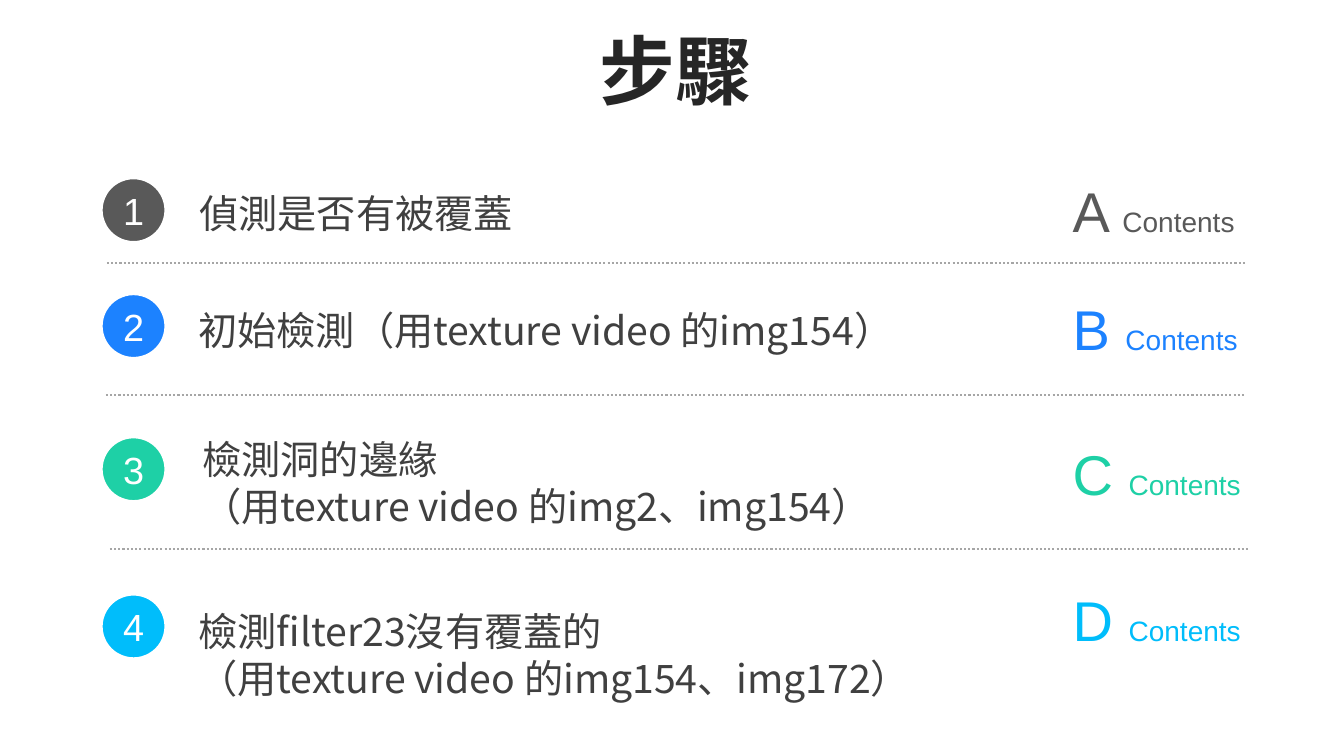
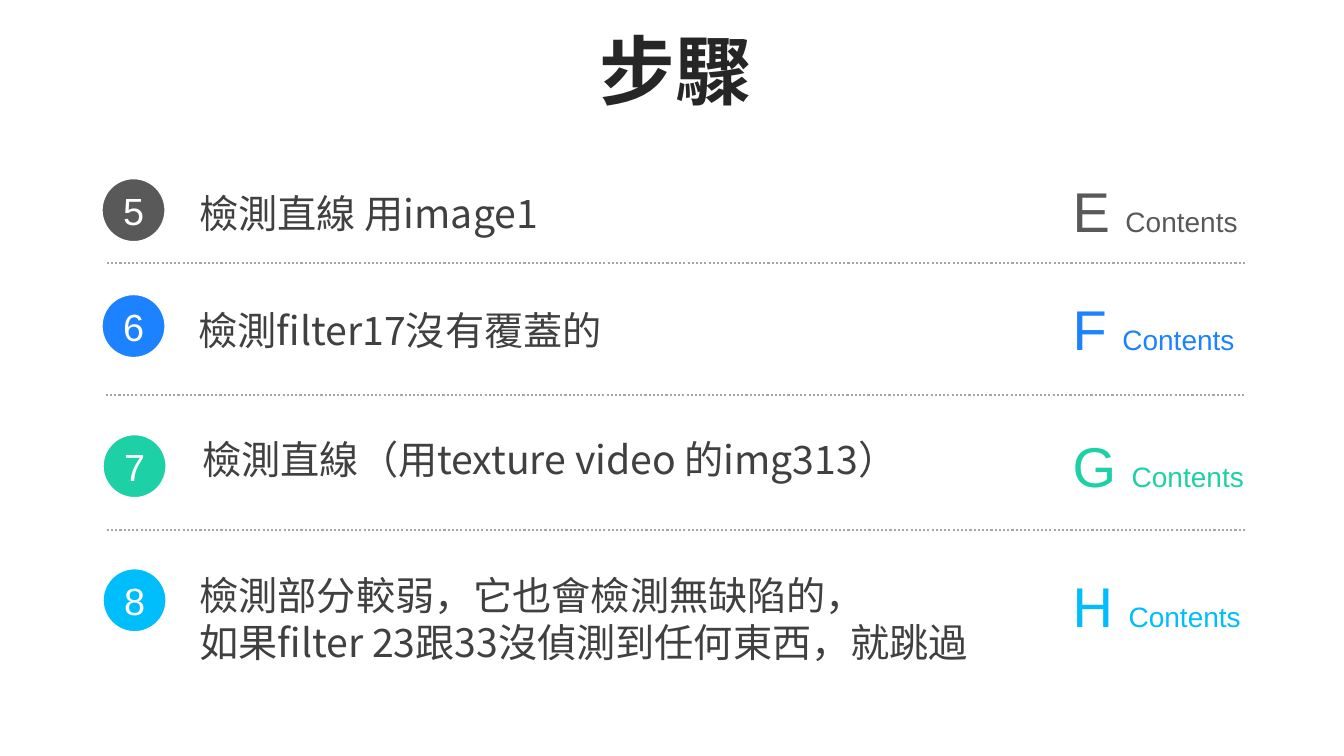
"""Build two slides listing the eight detection steps."""
from dataclasses import dataclass
from typing import Optional

from lxml.etree import SubElement
from pptx import Presentation
from pptx.dml.color import RGBColor
from pptx.enum.dml import MSO_LINE
from pptx.enum.shapes import MSO_CONNECTOR as CONNECTOR, MSO_SHAPE as SHAPE
from pptx.enum.text import MSO_ANCHOR as ANCHOR, PP_ALIGN as ALIGN
from pptx.oxml.ns import qn
from pptx.util import Inches, Pt

CJK, LATIN = "Noto Sans CJK SC", "Arial"
TITLE, BODY, RULE, WHITE = "262626", "404040", "A6A6A6", "FFFFFF"
ACCENTS = ["595959", "1C82FF", "1ED0A6", "00BDFB"]
MARK_SIZE, RULE_WIDTH = 0.63, 11.3
TEXT_WIDTH, TAG_LEFT, TAG_WIDTH, TAG_HEIGHT = 8.2, 10.54, 1.9, 0.77


@dataclass
class Rule:
    x: float
    y: float


@dataclass
class Step:
    lines: list[str]
    mark_x: float
    mark_y: float
    text_x: float
    text_y: float
    tag_y: float
    rule: Optional[Rule] = None


SLIDES = [
    [
        Step(["偵測是否有被覆蓋"], 1.01, 1.77, 1.88, 1.83, 1.7, Rule(1.06, 2.61)),
        Step(["初始檢測（用texture video 的img154）"],
             1.01, 2.92, 1.87, 2.99, 2.87, Rule(1.05, 3.92)),
        Step(["檢測洞的邊緣", "（用texture video 的img2、img154）"],
             1.01, 4.34, 1.91, 4.27, 4.31, Rule(1.09, 5.45)),
        Step(["檢測filter23沒有覆蓋的", "（用texture video 的img154、img172）"],
             1.01, 5.9, 1.87, 5.98, 5.76),
    ],
    [
        Step(["檢測直線 用image1"], 1.01, 1.77, 1.88, 1.83, 1.7, Rule(1.06, 2.61)),
        Step(["檢測filter17沒有覆蓋的"],
             1.01, 2.92, 1.87, 2.99, 2.87, Rule(1.05, 3.92)),
        Step(["檢測直線（用texture video 的img313）"],
             1.02, 4.31, 1.91, 4.27, 4.23, Rule(1.06, 5.26)),
        Step(["檢測部分較弱，它也會檢測無缺陷的，",
              "如果filter 23跟33沒偵測到任何東西，就跳過"],
             1.02, 5.64, 1.88, 5.62, 5.62),
    ],
]


def rgb(value: str) -> RGBColor:
    return RGBColor.from_string(value)


def add_run(p, text: str, size: float, font: str, color: str, bold: bool = False) -> None:
    r = p.add_run()
    r.text = text
    r.font.size, r.font.name, r.font.bold = Pt(size), font, bold
    r.font.color.rgb = rgb(color)
    SubElement(r.font._element, qn("a:ea"), typeface=font)


def add_box(s, x: float, y: float, w: float, h: float):
    tf = s.shapes.add_textbox(Inches(x), Inches(y), Inches(w), Inches(h)).text_frame
    tf.word_wrap = True
    return tf


def add_title(s, text: str) -> None:
    tf = add_box(s, 0.37, 0.35, 12.66, 0.79)
    tf.vertical_anchor = ANCHOR.MIDDLE
    p = tf.paragraphs[0]
    p.alignment, p.line_spacing, p.space_before = ALIGN.CENTER, 0.9, Pt(10)
    add_run(p, text, 54, CJK, TITLE, bold=True)


def add_rule(s, rule: Rule) -> None:
    y = Inches(rule.y)
    line = s.shapes.add_connector(
        CONNECTOR.STRAIGHT, Inches(rule.x), y, Inches(rule.x + RULE_WIDTH), y)
    line.line.color.rgb = rgb(RULE)
    line.line.width = Pt(1.5)
    line.line.dash_style = MSO_LINE.ROUND_DOT
    SubElement(line._element.spPr, qn("a:effectLst"))


def add_mark(s, step: Step, number: int, color: str) -> None:
    size = Inches(MARK_SIZE)
    sp = s.shapes.add_shape(
        SHAPE.OVAL, Inches(step.mark_x), Inches(step.mark_y), size, size)
    sp.shadow.inherit = False
    sp.fill.solid()
    sp.fill.fore_color.rgb = rgb(color)
    sp.line.color.rgb = rgb(WHITE)
    sp.line.width = Pt(1.25)
    tf = sp.text_frame
    tf.vertical_anchor = ANCHOR.MIDDLE
    p = tf.paragraphs[0]
    p.alignment = ALIGN.CENTER
    add_run(p, str(number), 27, LATIN, WHITE)


def add_step(s, step: Step, number: int, color: str) -> None:
    if step.rule:
        add_rule(s, step.rule)
    add_mark(s, step, number, color)
    height = 0.1 + 0.47 * len(step.lines)
    tf = add_box(s, step.text_x, step.text_y, TEXT_WIDTH, height)
    for i, text in enumerate(step.lines):
        p = tf.add_paragraph() if i else tf.paragraphs[0]
        add_run(p, text, 28, CJK, BODY)
    p = add_box(s, TAG_LEFT, step.tag_y, TAG_WIDTH, TAG_HEIGHT).paragraphs[0]
    add_run(p, "ABCDEFGH"[number - 1] + " ", 40, LATIN, color)
    add_run(p, "Contents", 20, LATIN, color)


def main() -> None:
    prs = Presentation()
    prs.slide_width, prs.slide_height = Inches(13.33), Inches(7.5)
    number = 0
    for steps in SLIDES:
        s = prs.slides.add_slide(prs.slide_layouts[6])
        add_title(s, "步驟")
        for step, color in zip(steps, ACCENTS):
            number += 1
            add_step(s, step, number, color)
    prs.save("out.pptx")


if __name__ == "__main__":
    main()
